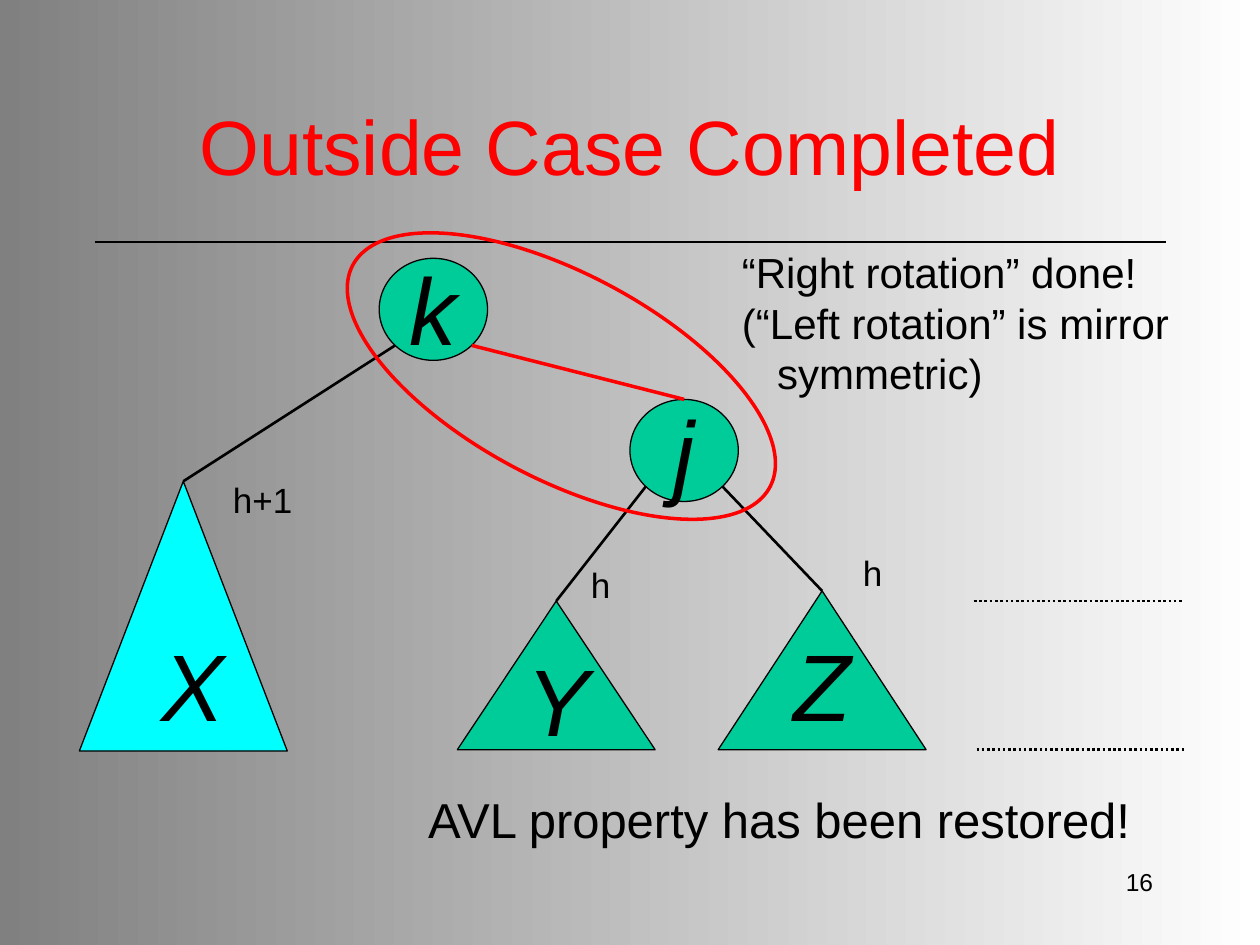
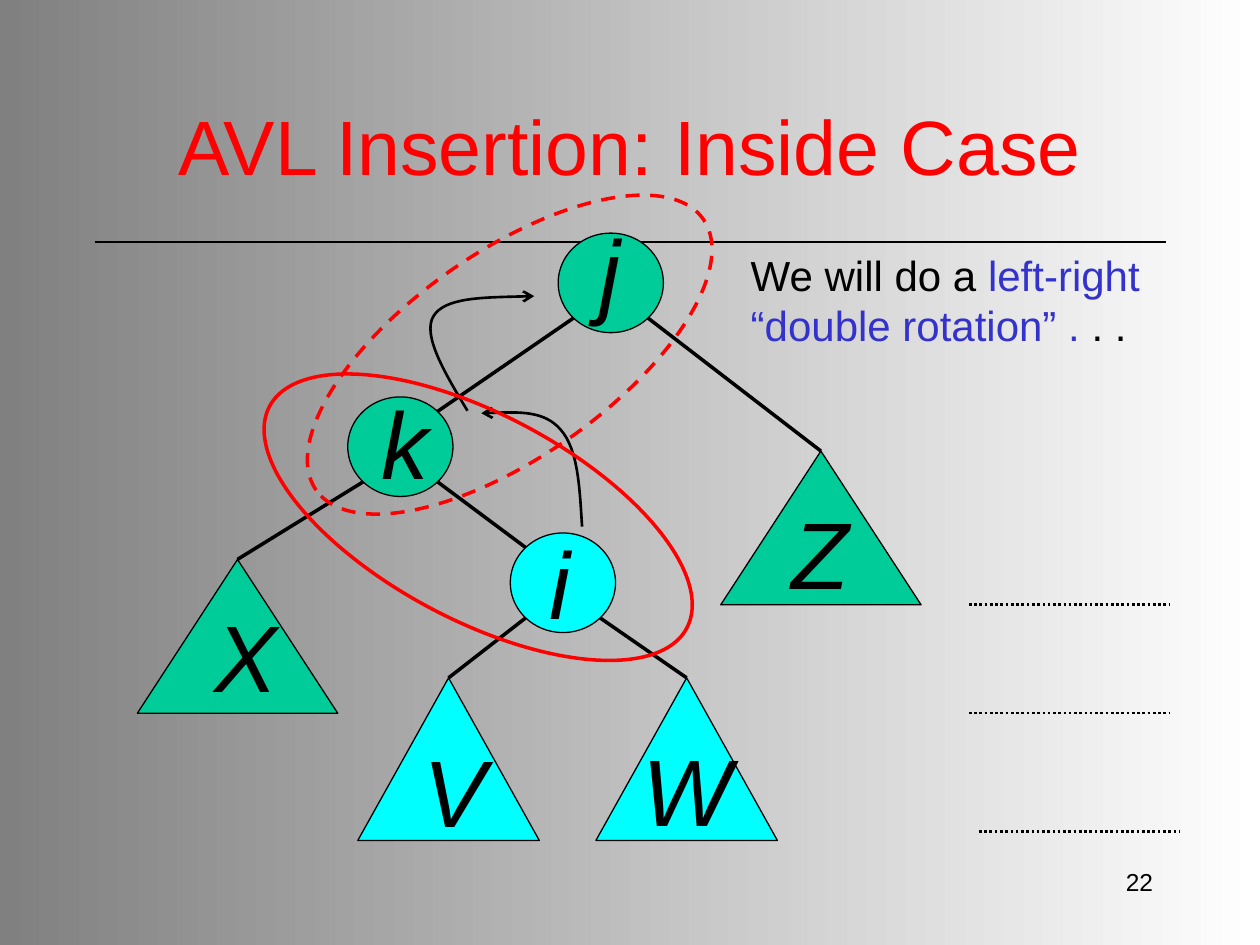
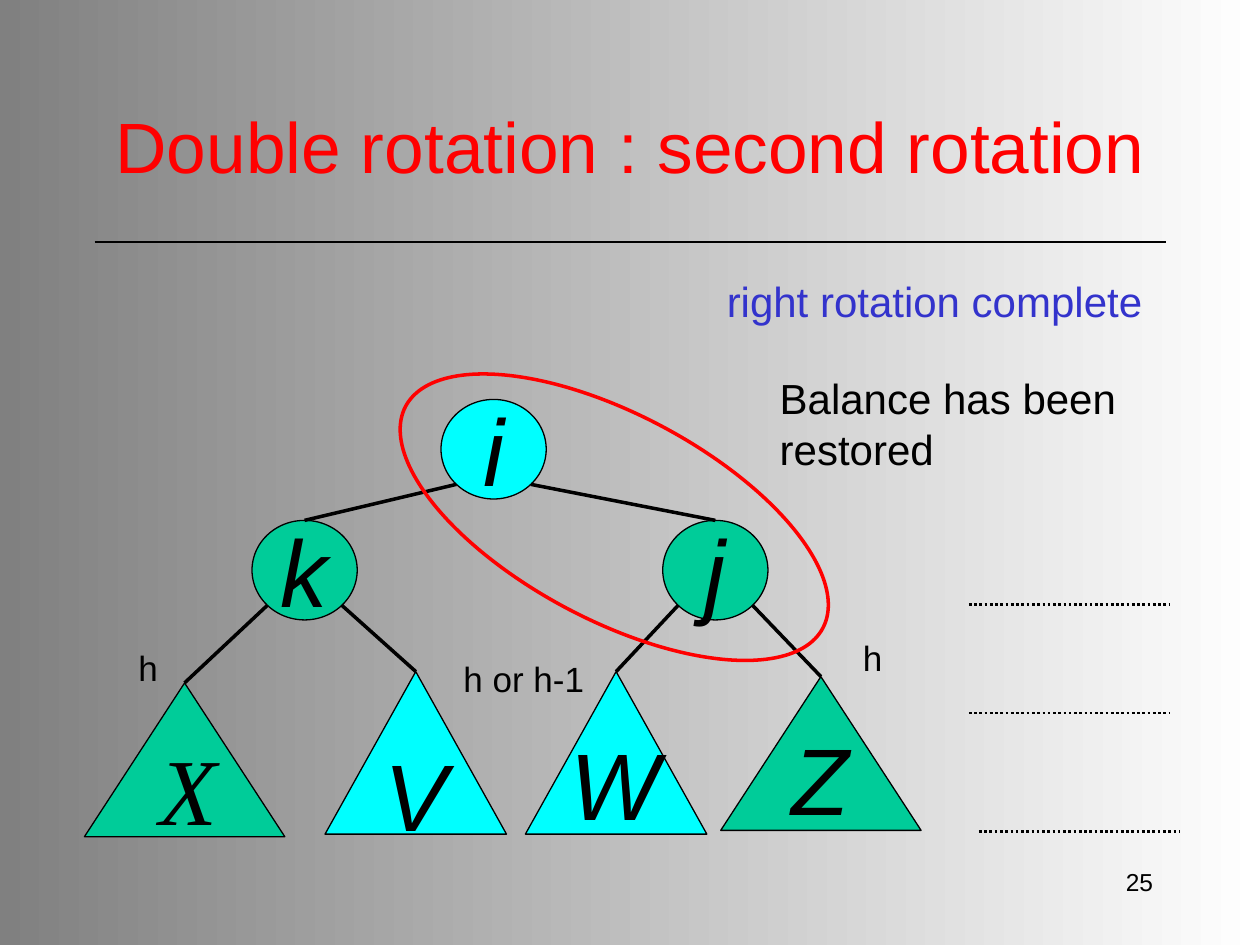
import math

import pptx
import pptx.dml.color
import pptx.enum.dml
import pptx.enum.shapes
import pptx.enum.text
import pptx.oxml.ns
import pptx.util
from lxml import etree

COLORS = {
    "ink": "000000",
    "accent": "FF0000",
    "term": "3333CC",
    "node": "00CC99",
    "changed": "00FFFF",
    "light": "FFFFFF",
    "dark": "808080",
}
FONT = "Arial"
WIDTH, HEIGHT = pptx.util.Inches(10), pptx.util.Inches(7.5)
COLUMN, ROW = WIDTH / 100, HEIGHT / 75
LETTER_SIZE = 54
DIAGONAL = math.sqrt(0.5)
SHAPES = pptx.enum.shapes.MSO_SHAPE
DASHES = pptx.enum.dml.MSO_LINE
ALIGN = pptx.enum.text.PP_ALIGN
ANCHOR = pptx.enum.text.MSO_ANCHOR
FIT = pptx.enum.text.MSO_AUTO_SIZE


def color(name):
    return pptx.dml.color.RGBColor.from_string(COLORS[name])


def point(column, row):
    return round(column * COLUMN), round(row * ROW)


def box(cell):
    return point(*cell[:2]) + point(*cell[2:])


def set_font(font, size, name="ink", italic=False, face=FONT):
    font.name = face
    font.size = pptx.util.Pt(size)
    font.italic = italic
    font.color.rgb = color(name)


def set_line(line, name="ink", width=0.75, dash=None):
    line.color.rgb = color(name)
    line.width = pptx.util.Pt(width)
    if dash is not None:
        line.dash_style = dash


def add_line(slide, start, end, name="ink", width=0.75, dash=None):
    connector = slide.shapes.add_connector(
        pptx.enum.shapes.MSO_CONNECTOR.STRAIGHT, *start, *end)
    set_line(connector.line, name, width, dash)
    properties = connector.element.find(pptx.oxml.ns.qn("p:spPr"))
    etree.SubElement(properties, pptx.oxml.ns.qn("a:effectLst"))
    return connector


def add_label(slide, cell, lines, size, name="ink", anchor=ANCHOR.TOP, align=ALIGN.LEFT,
              wrap=False, italic=False, face=FONT):
    frame = slide.shapes.add_textbox(*box(cell)).text_frame
    frame.word_wrap = wrap
    frame.auto_size = FIT.SHAPE_TO_FIT_TEXT
    frame.vertical_anchor = anchor
    for index, line in enumerate(lines):
        paragraph = frame.add_paragraph() if index else frame.paragraphs[0]
        paragraph.alignment = align
        if isinstance(line, str):
            paragraph.text = line
            set_font(paragraph.font, size, name, italic, face)
            continue
        for text, run_color in line:
            run = paragraph.add_run()
            run.text = text
            set_font(run.font, size, run_color)
    return frame


def add_letter(slide, letter, left, top, face=FONT):
    add_label(slide, (left, top, 5.2, 10), [letter], LETTER_SIZE,
              wrap=True, italic=True, face=face)


def add_part(slide, kind, cell, fill, letter=None):
    shape = slide.shapes.add_shape(kind, *box(cell))
    shape.shadow.inherit = False
    shape.fill.solid()
    shape.fill.fore_color.rgb = color(fill)
    set_line(shape.line)
    if letter:
        frame = shape.text_frame
        frame.word_wrap = False
        frame.vertical_anchor = ANCHOR.MIDDLE
        paragraph = frame.paragraphs[0]
        paragraph.text = letter
        paragraph.alignment = ALIGN.CENTER
        set_font(paragraph.font, LETTER_SIZE, italic=True)
    return shape


def add_node(slide, left, top, fill="node", letter=None, size=(8.35, 7.9)):
    return add_part(slide, SHAPES.OVAL, (left, top, *size), fill, letter)


def add_subtree(slide, left, top, fill="node", letter=None, size=None):
    size = size or ((14.4, 12.9) if fill == "changed" else (15.9, 12.2))
    return add_part(slide, SHAPES.ISOSCELES_TRIANGLE, (left, top, *size), fill, letter)


def corner(node, across, down):
    return (round(node.left + node.width * (1 + across * DIAGONAL) / 2),
            round(node.top + node.height * (1 + down * DIAGONAL) / 2))


def add_edge(slide, parent, side, child, name="ink", width=2, to_corner=False):
    start = corner(parent, side, 1)
    end = corner(child, -side, -1) if to_corner else (child.left + child.width // 2, child.top)
    connector = add_line(slide, start, end, name, width)
    if not to_corner:
        connector.end_connect(child, 0)


def add_ring(slide, left, top, rotation=28, dash=None):
    ring = slide.shapes.add_shape(SHAPES.OVAL, *box((left, top, 37.5, 16.3)))
    ring.shadow.inherit = False
    ring.rotation = rotation
    ring.fill.background()
    set_line(ring.line, "accent", 2, dash)


def add_curved_arrow(slide, start, controls):
    builder = slide.shapes.build_freeform(*point(*start))
    builder.add_line_segments([point(*control) for control in controls], close=False)
    shape = builder.convert_to_shape()
    shape.shadow.inherit = False
    shape.fill.background()
    set_line(shape.line, width=1.5)
    qn = pptx.oxml.ns.qn
    outline = shape.element.find(".//" + qn("a:path"))
    segments = outline.findall(qn("a:lnTo"))
    for first in range(0, len(segments), 3):
        curve = etree.SubElement(outline, qn("a:cubicBezTo"))
        for segment in segments[first:first + 3]:
            curve.append(segment[0])
            outline.remove(segment)
    line = shape.element.find(".//" + qn("a:ln"))
    etree.SubElement(line, qn("a:tailEnd"), type="arrow")


def add_levels(slide, starts, length):
    for left, top in starts:
        add_line(slide, point(left, top), point(left + length, top),
                 width=1.5, dash=DASHES.ROUND_DOT)


def add_three_levels(slide):
    add_levels(slide, [(76.9, 48), (76.9, 56.6), (77.7, 66)], 15.9)


def set_background(master):
    fill = master.background.fill
    fill.gradient()
    fill.gradient_angle = 180
    for stop, name in zip(fill.gradient_stops, ("light", "dark")):
        stop.color.rgb = color(name)


def new_slide(presentation, title, number, title_size=44):
    slide = presentation.slides.add_slide(presentation.slide_layouts[5])
    heading = slide.shapes.title
    heading.left, heading.top, heading.width, heading.height = box((7.3, 7.1, 85.4, 8.8))
    frame = heading.text_frame
    frame.auto_size = FIT.NONE
    frame.vertical_anchor = ANCHOR.MIDDLE
    paragraph = frame.paragraphs[0]
    paragraph.text = title
    paragraph.alignment = ALIGN.CENTER
    set_font(paragraph.font, title_size, "accent")
    add_line(slide, point(7.5, 19.2), point(92.5, 19.2))
    add_label(slide, (71.7, 68.3, 20.8, 5), [number], 14, align=ALIGN.RIGHT, wrap=True)
    return slide


def build_outside_case(presentation):
    slide = new_slide(presentation, "Outside Case Completed", "16")
    j = add_node(slide, 50, 31.7, letter="j", size=(8.6, 8.1))
    k = add_node(slide, 30.1, 20.5, size=(8.6, 8.1))
    x = add_subtree(slide, 6.3, 38.2, "changed", size=(16.5, 21.4))
    y = add_subtree(slide, 36.3, 47.7, size=(15.7, 11.8))
    z = add_subtree(slide, 57, 46.9, size=(16.5, 12.6))
    for letter, left, top in (("k", 31.5, 19.4), ("X", 11.8, 49.3),
                              ("Y", 40.8, 50.5), ("Z", 62, 49.3)):
        add_letter(slide, letter, left, top)
    add_levels(slide, [(77.3, 47.7), (77.5, 59.5)], 16.5)
    for parent, side, child in ((k, -1, x), (j, -1, y), (j, 1, z)):
        add_edge(slide, parent, side, child, width=1.5)
    add_edge(slide, k, 1, j, "accent")
    add_ring(slide, 25.8, 21.7)
    note = add_label(slide, (57.9, 19.1, 35.9, 13), [
        "“Right rotation” done!", "(“Left rotation” is mirror", "symmetric)"], 24)
    continuation = note.paragraphs[-1]._p.get_or_add_pPr()
    continuation.set("marL", str(round(2.8 * COLUMN)))
    add_label(slide, (33, 62.2, 58.1, 5.7), ["AVL property has been restored!"], 28)
    for height, left, top, width in (("h", 67.5, 43.3, 3.5), ("h+1", 17.5, 37.5, 6.7),
                                     ("h", 45.9, 44.2, 3.5)):
        add_label(slide, (left, top, width, 4.4), [height], 20)


def build_inside_case(presentation):
    slide = new_slide(presentation, "AVL Insertion: Inside Case", "22")
    j = add_node(slide, 44.3, 18.5)
    k = add_node(slide, 27.6, 31.5)
    i = add_node(slide, 40.5, 42.3, "changed")
    x = add_subtree(slide, 10.9, 44.4)
    z = add_subtree(slide, 57.2, 35.8)
    v = add_subtree(slide, 28.4, 53.8, "changed")
    w = add_subtree(slide, 47.3, 53.8, "changed")
    for letter, left, top in (("j", 46.6, 16.4), ("k", 29.3, 30.1), ("X", 16, 47),
                              ("V", 32.6, 57.7), ("Z", 61.8, 38.8), ("W", 50, 57.6),
                              ("i", 42.6, 41.2)):
        add_letter(slide, letter, left, top)
    for parent, side, child in ((j, -1, k), (k, 1, i)):
        add_edge(slide, parent, side, child, to_corner=True)
    for parent, side, child in ((k, -1, x), (j, 1, z), (i, -1, v), (i, 1, w)):
        add_edge(slide, parent, side, child)
    add_three_levels(slide)
    add_label(slide, (58.6, 19.3, 33.8, 9), [
        [("We will do a ", "ink"), ("left-right", "term")],
        [("“double rotation” .", "term"), (" . .", "ink")]], 24)
    add_curved_arrow(slide, (46.2, 41.8), [
        (46, 38.7), (45.9, 35.7), (44.5, 34.1), (43.2, 32.6), (40.7, 32.7), (38.2, 32.8)])
    add_curved_arrow(slide, (37.1, 32.6), [
        (35.3, 29.6), (33.5, 26.6), (34.4, 25.1), (35.3, 23.6), (38.9, 23.6), (42.4, 23.5)])
    add_ring(slide, 19.2, 32.9)
    add_ring(slide, 21.7, 20, 325, DASHES.DASH)


def build_second_rotation(presentation):
    slide = new_slide(presentation, "Double rotation : second rotation", "25", 40.7)
    j = add_node(slide, 52.6, 41.3, letter="j")
    k = add_node(slide, 20, 41.3, letter="k")
    i = add_node(slide, 35, 31.7, "changed", "i")
    x = add_subtree(slide, 6.7, 54.2)
    v = add_subtree(slide, 25.8, 53.3, "changed", "V")
    w = add_subtree(slide, 41.7, 53.3, "changed")
    z = add_subtree(slide, 57.2, 53.7)
    add_letter(slide, "X", 11.7, 57.5, "Times New Roman")
    add_letter(slide, "Z", 61.8, 56.7)
    add_letter(slide, "W", 44.3, 57.1)
    for parent, side, child in ((i, -1, k), (i, 1, j), (k, -1, x),
                                (k, 1, v), (j, -1, w), (j, 1, z)):
        add_edge(slide, parent, side, child)
    add_three_levels(slide)
    add_ring(slide, 30, 32.9)
    add_label(slide, (56.7, 21.4, 35, 5), ["right rotation complete"], 24, "term")
    add_label(slide, (60.9, 29.1, 29.6, 9), ["Balance has been", "restored"], 24,
              anchor=ANCHOR.MIDDLE)
    for height, left, top, width in (("h", 67.5, 50, 3.6), ("h", 10, 50.8, 3.5),
                                     ("h or h-1", 35.8, 51.7, 11.6)):
        add_label(slide, (left, top, width, 4.4), [height], 20)


def main():
    presentation = pptx.Presentation()
    presentation.slide_width, presentation.slide_height = WIDTH, HEIGHT
    set_background(presentation.slide_master)
    build_outside_case(presentation)
    build_inside_case(presentation)
    build_second_rotation(presentation)
    presentation.save("out.pptx")


if __name__ == "__main__":
    main()
